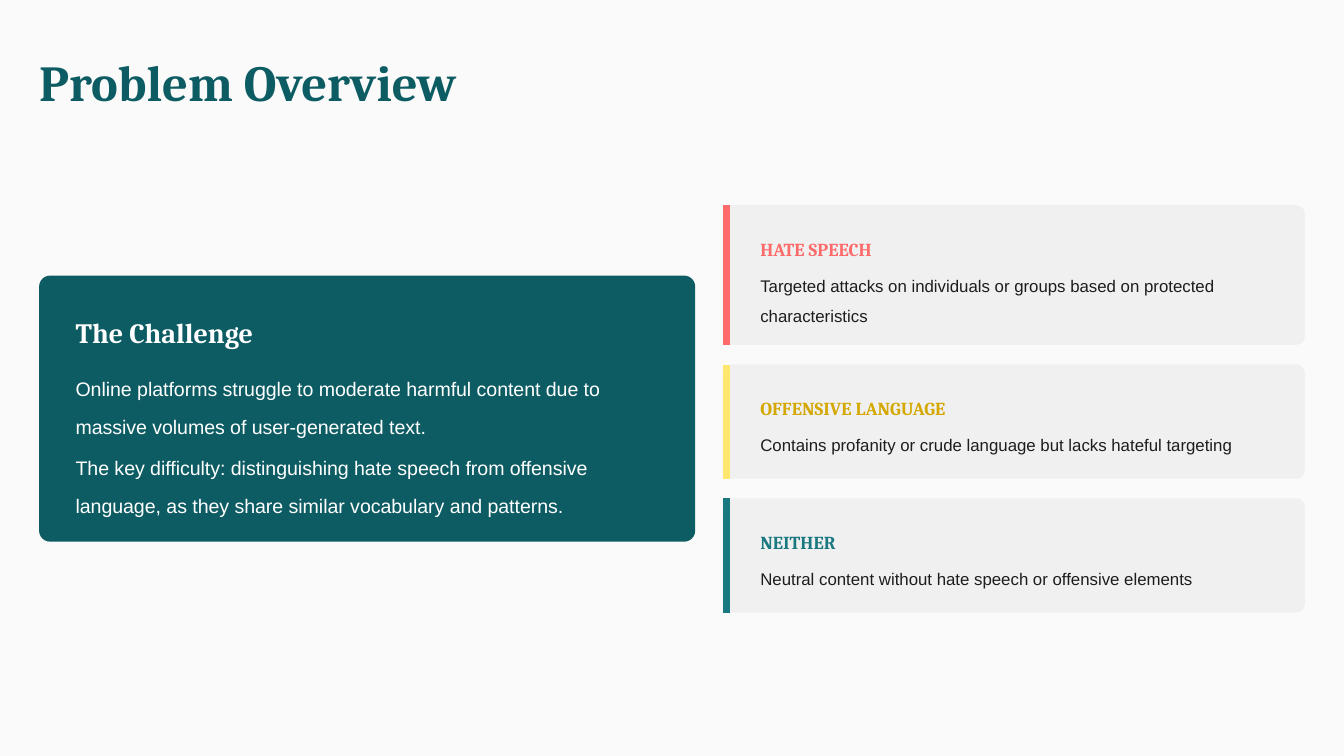
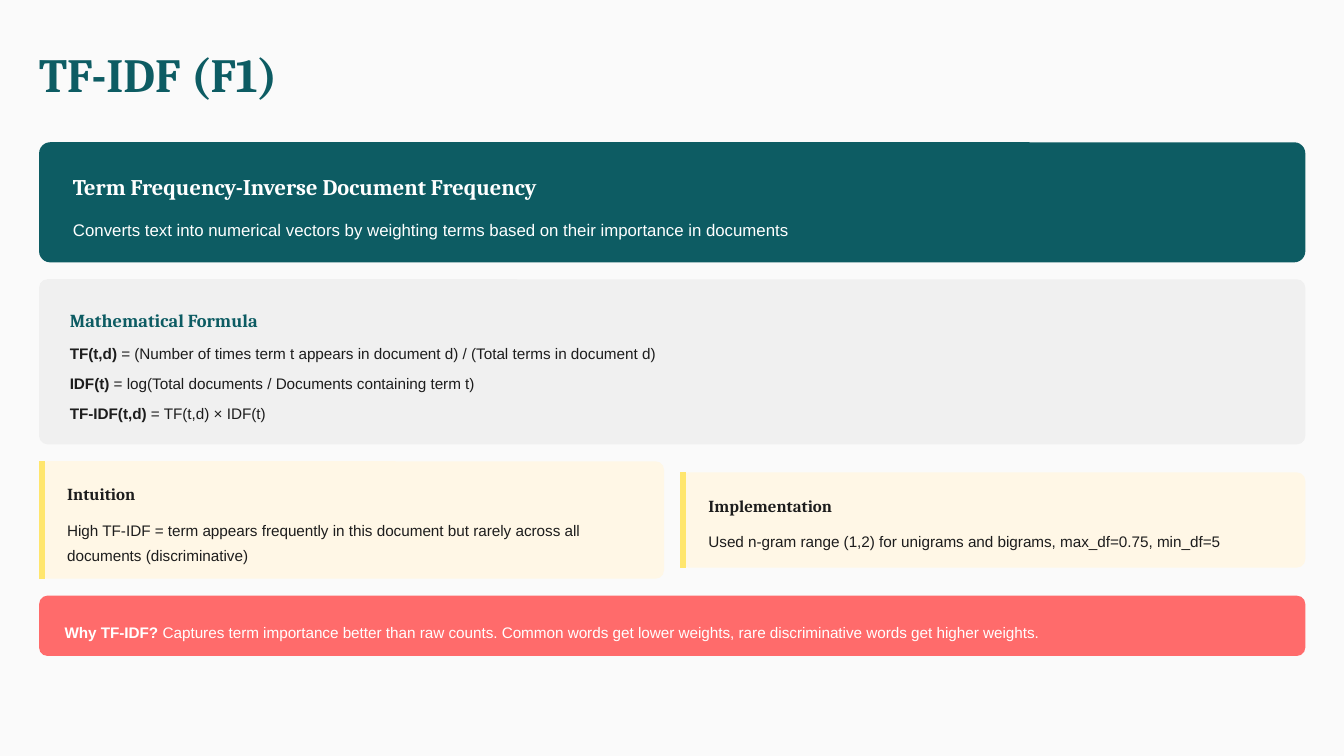
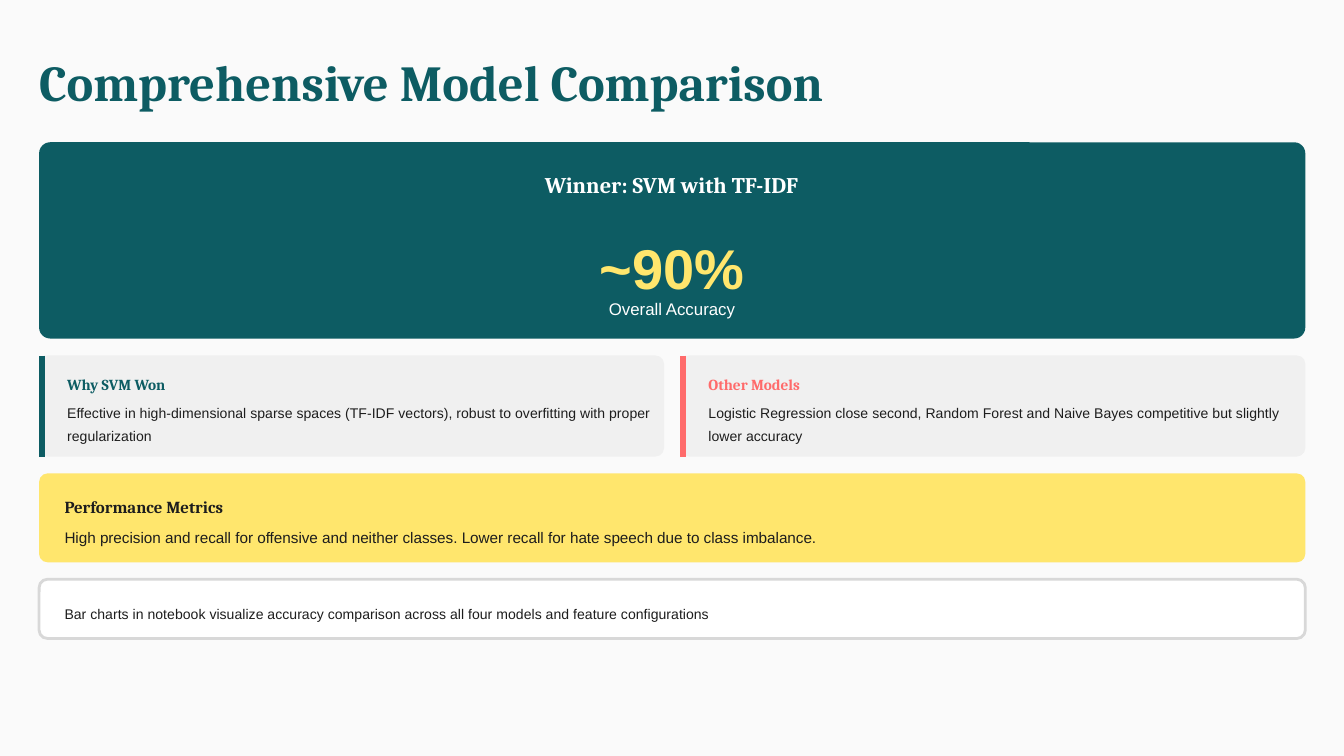
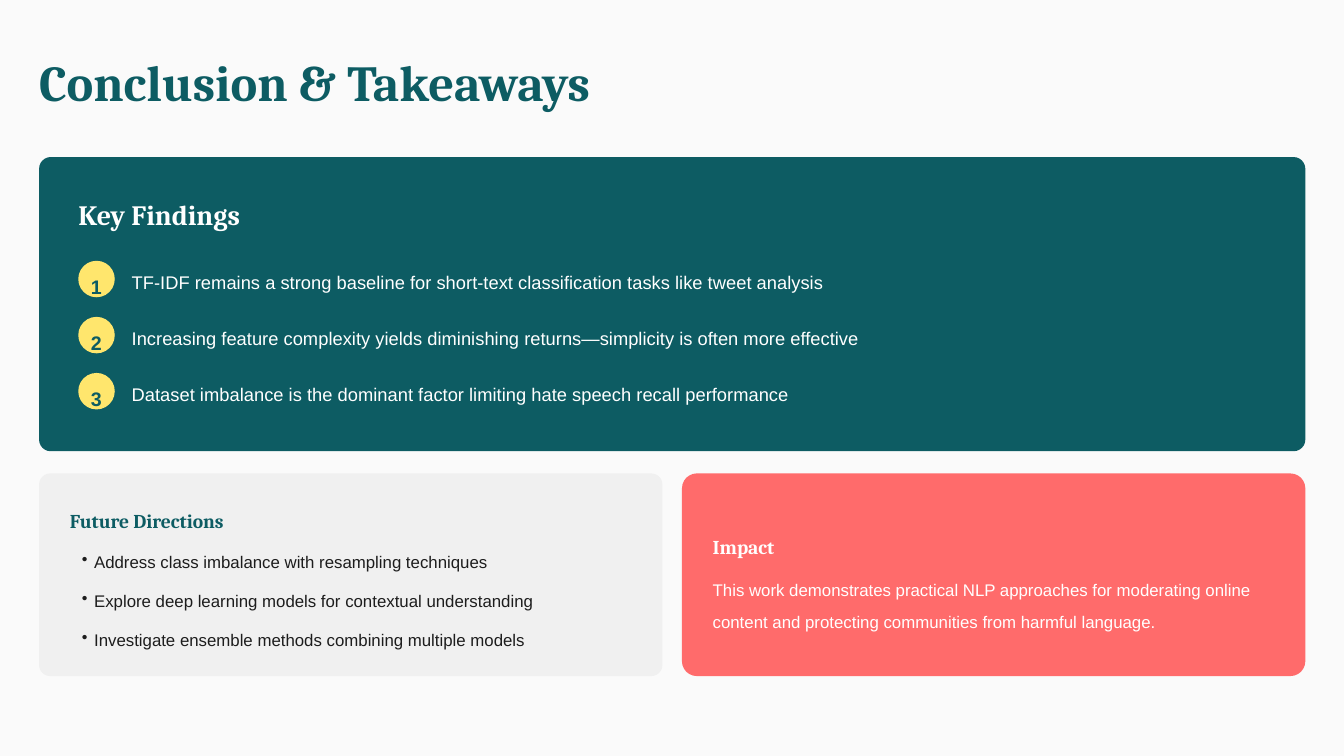
from dataclasses import dataclass
from itertools import accumulate
from typing import Optional

from lxml import etree
from pptx import Presentation
from pptx.dml.color import RGBColor
from pptx.enum import shapes, text
from pptx.oxml import ns
from pptx.util import Cm, Pt

PAPER = RGBColor(0xFA, 0xFA, 0xFA)
TEAL = RGBColor(0x0D, 0x5C, 0x63)
LIGHT_TEAL = RGBColor(0x1A, 0x78, 0x80)
CORAL = RGBColor(0xFF, 0x6B, 0x6B)
YELLOW = RGBColor(0xFF, 0xE6, 0x6D)
GOLD = RGBColor(0xD4, 0xA8, 0x00)
CREAM = RGBColor(0xFF, 0xF7, 0xE6)
GREY = RGBColor(0xF0, 0xF0, 0xF0)
BORDER = RGBColor(0xD8, 0xD8, 0xD8)
INK = RGBColor(0x1D, 0x1D, 0x1D)
WHITE = RGBColor(0xFF, 0xFF, 0xFF)

SERIF, SANS = "Cambria", "Arial"
CM_PER_PT = 2.54 / 72
LEFT, WIDTH = 0.74, 23.93
GAP = 0.32
HALF = 11.81
RIGHT_HALF = LEFT + WIDTH - HALF
SMALL_RADIUS, RADIUS, LARGE_RADIUS = 0.16, 0.21, 0.28


@dataclass(frozen=True)
class Style:
    size: float
    color: RGBColor
    font: str = SANS
    bold: bool = False
    spacing: Optional[float] = None
    centred: bool = False

    def height(self, lines: int = 1) -> float:
        return self.size * (self.spacing or 1.2) * lines * CM_PER_PT


@dataclass(frozen=True)
class Box:
    left: float
    top: float
    width: float
    height: float


@dataclass(frozen=True)
class Look:
    fill: RGBColor
    heading: Style
    body: Style
    inset: float
    right_pad: float
    heading_drop: float
    body_drop: float
    radius: float = SMALL_RADIUS
    step: float = 0
    bar_width: float = 0


@dataclass(frozen=True)
class Panel:
    box: Box
    look: Look
    heading: str = ""
    body: tuple[str, ...] = ()
    lines: int = 1
    bar: Optional[RGBColor] = None
    heading_color: Optional[RGBColor] = None
    heading_width: Optional[float] = None


def serif(size: float, color: RGBColor, spacing: Optional[float] = None,
          centred: bool = False) -> Style:
    return Style(size, color, SERIF, True, spacing, centred)


def stack(top: float, gap: float, heights: tuple[float, ...]) -> list[float]:
    return list(accumulate((h + gap for h in heights[:-1]), initial=top))


def format_run(r, style: Style, bold: bool) -> None:
    r.font.name = style.font
    r.font.size = Pt(style.size)
    r.font.bold = bold
    r.font.color.rgb = style.color


def clear_margins(tf) -> None:
    tf.margin_left = tf.margin_right = tf.margin_top = tf.margin_bottom = 0
    tf.vertical_anchor = text.MSO_ANCHOR.TOP
    tf.auto_size = text.MSO_AUTO_SIZE.NONE
    tf.word_wrap = True


def place(sp, box: Box) -> None:
    sp.left, sp.top = Cm(box.left), Cm(box.top)
    sp.width, sp.height = Cm(box.width), Cm(box.height)


def fill_paragraph(p, content: str, style: Style) -> None:
    lead, bar, rest = content.partition("|")
    p.text = lead
    format_run(p.runs[0], style, style.bold or bool(bar))
    if bar:
        r = p.add_run()
        r.text = rest
        format_run(r, style, False)
    if style.spacing:
        p.line_spacing = style.spacing
    p.alignment = text.PP_ALIGN.CENTER if style.centred else text.PP_ALIGN.LEFT


def add_text(s, left: float, top: float, width: float, content: str,
             style: Style, lines: int = 1) -> None:
    sp = s.shapes.add_textbox(Cm(left), Cm(top), Cm(width), Cm(style.height(lines)))
    clear_margins(sp.text_frame)
    fill_paragraph(sp.text_frame.paragraphs[0], content, style)


def add_bullets(s, box: Box, items: tuple[str, ...], style: Style) -> None:
    sp = s.shapes.add_textbox(0, 0, 0, 0)
    place(sp, box)
    tf = sp.text_frame
    clear_margins(tf)
    indent = Cm(0.23)
    tf.margin_left = indent
    for i, item in enumerate(items):
        p = tf.add_paragraph() if i else tf.paragraphs[0]
        fill_paragraph(p, item, style)
        if i:
            p.space_before = Pt(4.5)
        pPr = p._p.get_or_add_pPr()
        pPr.set("marL", str(indent))
        pPr.set("indent", str(-indent))
        buClr = etree.SubElement(pPr, ns.qn("a:buClr"))
        etree.SubElement(buClr, ns.qn("a:srgbClr")).set("val", str(style.color))
        etree.SubElement(pPr, ns.qn("a:buChar")).set("char", "•")


def add_round(s, box: Box, fill: RGBColor, radius: float,
              border: Optional[RGBColor] = None) -> None:
    sp = s.shapes.add_shape(shapes.MSO_SHAPE.ROUNDED_RECTANGLE, 0, 0, 0, 0)
    place(sp, box)
    sp.adjustments[0] = radius / min(box.width, box.height)
    sp.shadow.inherit = False
    sp.fill.solid()
    sp.fill.fore_color.rgb = fill
    if border is None:
        sp.line.fill.background()
    else:
        sp.line.color.rgb = border
        sp.line.width = Pt(1.5)


def add_bar(s, box: Box, width: float, color: RGBColor) -> None:
    x = Cm(box.left + width * CM_PER_PT / 2)
    c = s.shapes.add_connector(shapes.MSO_CONNECTOR.STRAIGHT, x, Cm(box.top),
                               x, Cm(box.top + box.height))
    c.line.color.rgb = color
    c.line.width = Pt(width)
    etree.SubElement(c._element.spPr, ns.qn("a:effectLst"))


def add_panel(s, panel: Panel) -> None:
    box, look = panel.box, panel.look
    border = BORDER if look.fill == WHITE else None
    add_round(s, box, look.fill, look.radius, border)
    if panel.bar is not None:
        add_bar(s, box, look.bar_width, panel.bar)
    left = box.left + look.inset
    width = box.width - look.inset - look.right_pad
    if panel.heading:
        style = look.heading
        if panel.heading_color is not None:
            style = serif(style.size, panel.heading_color, style.spacing)
        add_text(s, left, box.top + look.heading_drop, panel.heading_width or width,
                 panel.heading, style)
    for i, line in enumerate(panel.body):
        add_text(s, left, box.top + look.body_drop + i * look.step, width,
                 line, look.body, panel.lines)


def add_slide(prs, title: str, top: float = 0.97, size: float = 27, width: float = 12.22):
    s = prs.slides.add_slide(prs.slide_layouts[5])
    sp = s.shapes.title
    place(sp, Box(LEFT, top, width, 0.97))
    clear_margins(sp.text_frame)
    fill_paragraph(sp.text_frame.paragraphs[0], title, serif(size, TEAL))
    return s


SMALL_BODY = Style(8.2, INK, spacing=1.4)
TINY_BODY = Style(7.5, INK, spacing=1.4)
LIST_BODY = Style(9, INK, spacing=1.5)

CHALLENGE = Look(TEAL, serif(15, WHITE, 1.11), Style(10.5, WHITE, spacing=1.6),
                 0.69, 0.48, 0.69, 1.65, RADIUS, step=1.5)
CATEGORY = Look(GREY, serif(9.8, INK, 1.2), LIST_BODY,
                0.71, 0.38, 0.53, 1.14, bar_width=3.75)
INTRO = Look(TEAL, serif(12, WHITE, 1.11), Style(9, WHITE, spacing=1.5),
             0.64, 0.18, 0.53, 1.27, RADIUS)
FORMULA = Look(GREY, serif(9.8, TEAL, 1.2), SMALL_BODY,
               0.58, 0.13, 0.48, 1.09, step=0.57)
REMARK = Look(CREAM, serif(9, INK), SMALL_BODY, 0.53, 0.2, 0.43, 0.99, bar_width=3)
REASON = Look(CORAL, serif(9, WHITE), Style(8.2, WHITE, spacing=1.4), 0.48, 0.02, 0, 0.38)
MODEL = Look(GREY, serif(8.2, INK), TINY_BODY, 0.53, 0.2, 0.38, 0.79, bar_width=3)
METRICS = Look(YELLOW, serif(9, INK, 1.2), SMALL_BODY, 0.48, 0.02, 0.36, 0.89)
CAPTION = Look(WHITE, serif(9, INK), TINY_BODY, 0.48, 0.02, 0, 0.36)
FINDINGS = Look(TEAL, serif(15, WHITE, 1.11), Style(9.8, WHITE, spacing=1.6),
                0.74, 0.38, 0.69, 0, 0.22)
FUTURE = Look(GREY, serif(10.5, TEAL, 1.2), LIST_BODY, 0.58, 0.38, 0.58, 0, RADIUS)
IMPACT = Look(CORAL, serif(10.5, WHITE, 1.2), Style(9, WHITE, spacing=1.6),
              0.58, 0.38, 1.07, 1.78, LARGE_RADIUS)


def problem_slide(prs) -> None:
    s = add_slide(prs, "Problem Overview")
    add_panel(s, Panel(Box(LEFT, 5.21, 12.4, 5.03), CHALLENGE, "The Challenge", (
        "Online platforms struggle to moderate harmful content due to massive volumes "
        "of user-generated text.",
        "The key difficulty: distinguishing hate speech from offensive language, as they "
        "share similar vocabulary and patterns.",
    ), lines=2, heading_width=5.64))
    categories = (
        ("HATE SPEECH", "Targeted attacks on individuals or groups based on protected "
         "characteristics", 2, CORAL, CORAL),
        ("OFFENSIVE LANGUAGE", "Contains profanity or crude language but lacks hateful "
         "targeting", 1, YELLOW, GOLD),
        ("NEITHER", "Neutral content without hate speech or offensive elements", 1,
         LIGHT_TEAL, LIGHT_TEAL),
    )
    heights = (2.64, 2.16, 2.16)
    for category, top, height in zip(categories, stack(3.88, 0.37, heights), heights):
        name, meaning, lines, bar, color = category
        add_panel(s, Panel(Box(13.66, top, 11, height), CATEGORY, name, (meaning,),
                           lines, bar, color))


def tfidf_slide(prs) -> None:
    s = add_slide(prs, "TF-IDF (F1)", top=0.84, size=25.5)
    heights = (2.27, 3.12, 2.22, 1.14)
    intro, formula, remarks, reason = stack(2.69, GAP, heights)
    add_panel(s, Panel(Box(LEFT, intro, WIDTH, heights[0]), INTRO,
                       "Term Frequency-Inverse Document Frequency",
                       ("Converts text into numerical vectors by weighting terms based on "
                        "their importance in documents",), heading_width=11.58))
    add_panel(s, Panel(Box(LEFT, formula, WIDTH, heights[1]), FORMULA,
                       "Mathematical Formula", (
        "TF(t,d)| = (Number of times term t appears in document d) / "
        "(Total terms in document d)",
        "IDF(t)| = log(Total documents / Documents containing term t)",
        "TF-IDF(t,d)| = TF(t,d) × IDF(t)",
    )))
    add_panel(s, Panel(Box(LEFT, remarks, HALF, heights[2]), REMARK, "Intuition",
                       ("High TF-IDF = term appears frequently in this document but rarely "
                        "across all documents (discriminative)",), 2, YELLOW))
    short = 1.8
    add_panel(s, Panel(Box(RIGHT_HALF, remarks + (heights[2] - short) / 2, HALF, short),
                       REMARK, "Implementation",
                       ("Used n-gram range (1,2) for unigrams and bigrams, max_df=0.75, "
                        "min_df=5",), 1, YELLOW))
    add_panel(s, Panel(Box(LEFT, reason, WIDTH, heights[3]), REASON, body=(
        "Why TF-IDF?| Captures term importance better than raw counts. Common words get "
        "lower weights, rare discriminative words get higher weights.",)))


def comparison_slide(prs) -> None:
    s = add_slide(prs, "Comprehensive Model Comparison", width=21.59)
    heights = (3.71, 1.91, 1.68, 1.12)
    winner, models, metrics, caption = stack(2.69, GAP, heights)
    add_round(s, Box(LEFT, winner, WIDTH, heights[0]), TEAL, RADIUS)
    add_text(s, 6.88, 3.18, 11.63, "Winner: SVM with TF-IDF",
             serif(12, WHITE, 1.11, centred=True))
    add_text(s, 1.09, 3.91, 23.22, "~90%",
             Style(30, YELLOW, bold=True, spacing=1.4, centred=True))
    add_text(s, 1.09, 5.49, 23.22, "Overall Accuracy",
             Style(9, WHITE, spacing=1.4, centred=True))
    for left, color, heading, body in (
        (LEFT, TEAL, "Why SVM Won",
         "Effective in high-dimensional sparse spaces (TF-IDF vectors), robust to "
         "overfitting with proper regularization"),
        (RIGHT_HALF, CORAL, "Other Models",
         "Logistic Regression close second, Random Forest and Naive Bayes competitive "
         "but slightly lower accuracy"),
    ):
        add_panel(s, Panel(Box(left, models, HALF, heights[1]), MODEL, heading, (body,),
                           2, color, color))
    add_panel(s, Panel(Box(LEFT, metrics, WIDTH, heights[2]), METRICS, "Performance Metrics",
                       ("High precision and recall for offensive and neither classes. "
                        "Lower recall for hate speech due to class imbalance.",)))
    add_panel(s, Panel(Box(LEFT, caption, WIDTH, heights[3]), CAPTION, body=(
        "Bar charts in notebook visualize accuracy comparison across all four models and "
        "feature configurations",)))


def conclusion_slide(prs) -> None:
    s = add_slide(prs, "Conclusion & Takeaways")
    add_panel(s, Panel(Box(LEFT, 2.97, WIDTH, 5.56), FINDINGS, "Key Findings",
                       heading_width=11.48))
    findings = (
        ("TF-IDF remains a strong baseline for short-text classification tasks like "
         "tweet analysis", 13.2),
        ("Increasing feature complexity yields diminishing returns—simplicity is often "
         "more effective", 13.9),
        ("Dataset imbalance is the dominant factor limiting hate speech recall "
         "performance", 12.55),
    )
    badge = 0.69
    for i, (finding, width) in enumerate(findings):
        top = 4.93 + i * 1.06
        add_round(s, Box(1.48, top, badge, badge), YELLOW, badge / 2)
        add_text(s, 1.72, top + 0.09, 0.22, str(i + 1),
                 Style(10.5, TEAL, bold=True, spacing=1.4))
        add_text(s, 2.49, top - 0.05, width, finding, FINDINGS.body)
    top, width, height = 8.95, 11.78, 3.83
    add_panel(s, Panel(Box(LEFT, top, width, height), FUTURE, "Future Directions"))
    add_bullets(s, Box(1.32, 10.24, 10.62, 1.96), (
        "Address class imbalance with resampling techniques",
        "Explore deep learning models for contextual understanding",
        "Investigate ensemble methods combining multiple models",
    ), FUTURE.body)
    add_panel(s, Panel(Box(LEFT + WIDTH - width, top, width, height), IMPACT, "Impact",
                       ("This work demonstrates practical NLP approaches for moderating "
                        "online content and protecting communities from harmful language.",),
                       2))


def main() -> None:
    prs = Presentation()
    prs.slide_width, prs.slide_height = Cm(25.4), Cm(14.29)
    fill = prs.slide_master.background.fill
    fill.solid()
    fill.fore_color.rgb = PAPER
    for build in (problem_slide, tfidf_slide, comparison_slide, conclusion_slide):
        build(prs)
    prs.save("out.pptx")


if __name__ == "__main__":
    main()
